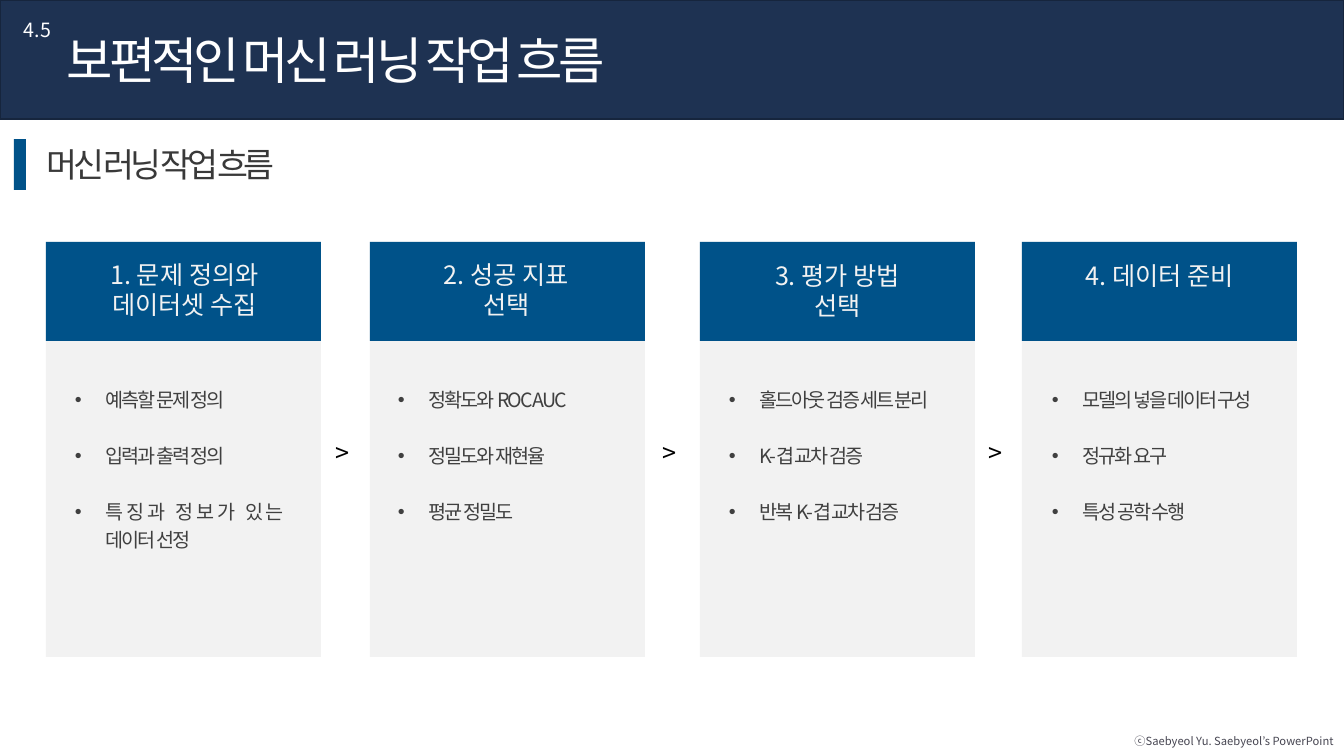
from lxml import etree
from pptx import Presentation
from pptx.dml.color import RGBColor
from pptx.enum.shapes import MSO_SHAPE
from pptx.enum.text import MSO_ANCHOR, MSO_AUTO_SIZE, PP_ALIGN
from pptx.oxml.ns import qn
from pptx.util import Pt

PX = 914400 / 100.8
FONT = "Noto Sans CJK KR"
COLORS = {
    "navy": "1E3252", "edge": "16253D", "blue": "005289", "panel": "F2F2F2",
    "white": "FFFFFF", "heading": "393939", "body": "404040",
    "black": "000000", "footer": "474652",
}


def add_box(x, y, w, h, fill):
    sp = s.shapes.add_shape(MSO_SHAPE.RECTANGLE, *[round(v * PX) for v in (x, y, w, h)])
    sp.shadow.inherit = False
    sp.fill.solid()
    sp.fill.fore_color.rgb = RGBColor.from_string(COLORS[fill])
    sp.line.fill.background()
    return sp


def add_text(x, y, w, h, lines, size, color, align=PP_ALIGN.LEFT, wrap=False, spacing=0, bullet=False):
    sp = s.shapes.add_textbox(*[round(v * PX) for v in (x, y, w, h)])
    tf = sp.text_frame
    tf.word_wrap = wrap
    tf.auto_size = MSO_AUTO_SIZE.SHAPE_TO_FIT_TEXT
    tf.vertical_anchor = MSO_ANCHOR.TOP
    for i, line in enumerate(lines):
        p = tf.paragraphs[0] if i == 0 else tf.add_paragraph()
        p.alignment = align
        if bullet:
            p.line_spacing = 1.2
            if i:
                p.space_before = Pt(20)
            pPr = p._p.get_or_add_pPr()
            pPr.set("marL", str(round(31 * PX)))
            pPr.set("indent", str(round(-31 * PX)))
            etree.SubElement(pPr, qn("a:buFont")).set("typeface", "Arial")
            etree.SubElement(pPr, qn("a:buChar")).set("char", "•")
        r = p.add_run()
        r.text = line
        r.font.size = Pt(size)
        r.font.name = FONT
        r.font.color.rgb = RGBColor.from_string(COLORS[color])
        rPr = r._r.get_or_add_rPr()
        etree.SubElement(rPr, qn("a:ea")).set("typeface", FONT)
        if spacing:
            rPr.set("spc", str(spacing))


prs = Presentation()
prs.slide_width = round(1344 * PX)
prs.slide_height = round(756 * PX)
s = prs.slides.add_slide(prs.slide_layouts[6])

add_text(1115, 729, 229, 24, ["ⓒSaebyeol Yu. Saebyeol’s PowerPoint"], 8, "footer", PP_ALIGN.RIGHT)

banner = add_box(0, 0, 1344, 119, "navy")
banner.line.color.rgb = RGBColor.from_string(COLORS["edge"])
banner.line.width = Pt(1)
add_text(57, 24, 597, 72, ["보편적인 머신 러닝 작업 흐름"], 36, "white", spacing=-300)
add_text(14, 13, 56, 34, ["4.5"], 14, "white")

add_text(37, 139, 263, 50, ["머신 러닝 작업 흐름"], 24, "heading", spacing=-300)
add_box(14, 139, 12, 51, "blue")

steps = [
    (46, 92, 254, 185, ["1. 문제 정의와", "데이터셋 수집"], 65, 227,
     ["예측할 문제 정의", "입력과 출력 정의", "특징과 정보가 있는 데이터 선정"]),
    (370, 424, 254, 165, ["2. 성공 지표 선택"], 388, 227,
     ["정확도와 ROC AUC", "정밀도와 재현율", "평균 정밀도"]),
    (700, 752, 255, 171, ["3. 평가 방법 선택"], 719, 256,
     ["홀드아웃 검증 세트 분리", "K-겹 교차 검증", "반복 K-겹 교차 검증"]),
    (1022, 1057, 255, 206, ["4. 데이터 준비"], 1042, 256,
     ["모델의 넣을 데이터 구성", "정규화 요구", "특성 공학 수행"]),
]
for x, title_x, title_y, title_w, title, list_x, list_w, items in steps:
    add_box(x, 242, 275, 415, "panel")
    add_box(x, 242, 275, 99, "blue")
    add_text(title_x, title_y, title_w, 72, title, 18, "panel", PP_ALIGN.CENTER, wrap=True)
    add_text(list_x, 378, list_w, 150, items, 14, "body", PP_ALIGN.JUSTIFY,
             wrap=True, spacing=-150, bullet=True)

for x in (326, 653, 979):
    add_text(x, 432, 35, 40, [">"], 18, "black")

prs.save("out.pptx")
